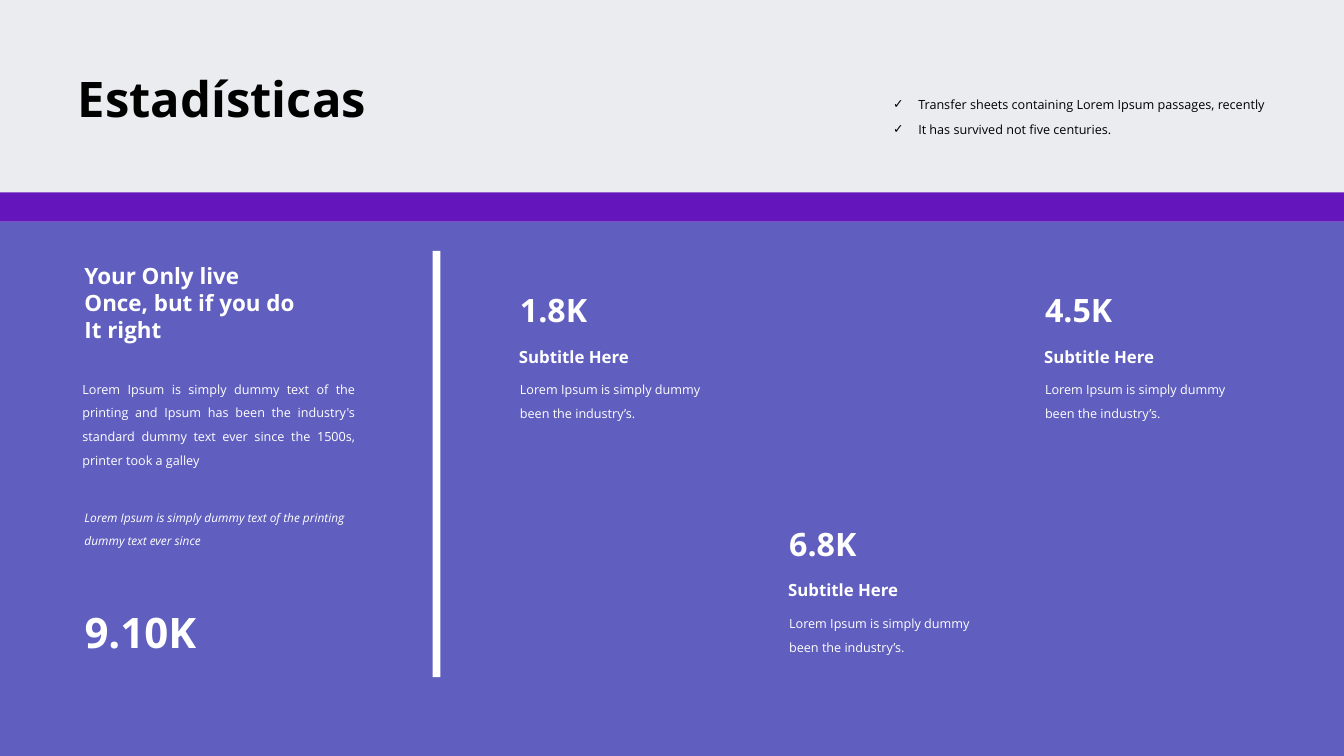
import pptx
import pptx.util
import pptx.dml.color
import pptx.enum.shapes
import pptx.enum.text
import lxml.etree

Pt = pptx.util.Pt
RGB = pptx.dml.color.RGBColor
ALIGN = pptx.enum.text.PP_ALIGN
COLORS = {"background": "EBECF0", "panel": "605FC0", "band": "6415BC",
          "white": "FFFFFF", "black": "000000"}

deck = pptx.Presentation()
deck.slide_width, deck.slide_height = Pt(960), Pt(540)
page = deck.slides.add_slide(deck.slide_layouts[1])
page.background.fill.solid()
page.background.fill.fore_color.rgb = RGB.from_string(COLORS["background"])


def place_text(box, bounds, lines, size, color="white", bold=False, italic=False,
               spacing=None, align=ALIGN.LEFT, wrap=False, bullet=None):
    box.left, box.top, box.width, box.height = map(Pt, bounds)
    frame = box.text_frame
    frame.word_wrap = wrap
    frame.auto_size = pptx.enum.text.MSO_AUTO_SIZE.NONE
    frame.vertical_anchor = pptx.enum.text.MSO_ANCHOR.TOP
    frame.text = "\n".join(lines)
    for para in frame.paragraphs:
        if bullet:
            properties = para._p.get_or_add_pPr()
            properties.set("marL", str(Pt(18)))
            properties.set("indent", str(Pt(-18)))
            mark = lxml.etree.SubElement(properties, pptx.oxml.ns.qn("a:buChar"))
            mark.set("char", bullet)
        para.alignment = align
        para.space_before = Pt(0)
        if spacing:
            para.line_spacing = Pt(spacing)
        font = para.font
        font.name = "Open Sans"
        font.size, font.bold, font.italic = Pt(size), bold, italic
        font.color.rgb = RGB.from_string(COLORS[color])


def add_text(bounds, lines, size, **style):
    box = page.shapes.add_textbox(*map(Pt, bounds))
    place_text(box, bounds, lines, size, **style)


for bounds, color in [((0, 158.4, 960, 381.6), "panel"),
                      ((0, 137.4, 960, 21), "band"),
                      ((309, 179.2, 5.6, 304.5), "white")]:
    bar = page.shapes.add_shape(pptx.enum.shapes.MSO_SHAPE.RECTANGLE, *map(Pt, bounds))
    bar.shadow.inherit = False
    bar.fill.solid()
    bar.fill.fore_color.rgb = RGB.from_string(COLORS[color])
    bar.line.fill.background()

place_text(page.shapes.title, (48.3, 45.4, 222.5, 49.7), ["Estadísticas"], 35,
           color="black", bold=True)
place_text(page.placeholders[1], (630.7, 58.3, 301, 44),
           ["Transfer sheets containing Lorem Ipsum passages, recently",
            "It has survived not five centuries."],
           9, color="black", spacing=18, wrap=True, bullet="✓")

add_text((53.3, 183.6, 170.6, 65.5),
         ["Your Only live", "Once, but if you do", "It right"], 16, bold=True)
add_text((51.8, 262.8, 208.8, 75.6),
         ["Lorem Ipsum is simply dummy text of the printing and Ipsum has been "
          "the industry's standard dummy text ever since the 1500s, printer took a galley"],
         9, spacing=17, align=ALIGN.JUSTIFY, wrap=True)
add_text((53.3, 355.7, 208.8, 38.2),
         ["Lorem Ipsum is simply dummy text of the printing dummy text ever since"],
         8.5, italic=True, spacing=16, wrap=True)
add_text((53.3, 429.8, 95, 43.9), ["9.10K"], 30, bold=True)

for left, top, value in [(364.3, 203.8, "1.8K"), (739.4, 203.8, "4.5K"),
                         (556.6, 370.8, "6.8K")]:
    add_text((left, top, 63.4, 35.3), [value], 23, bold=True)
    add_text((left - 0.7, top + 40, 94.3, 21.6), ["Subtitle Here"], 12, bold=True)
    add_text((left, top + 59.5, 151.2, 39.6),
             ["Lorem Ipsum is simply dummy been the industry’s."],
             9, spacing=17, wrap=True)

deck.save("out.pptx")
